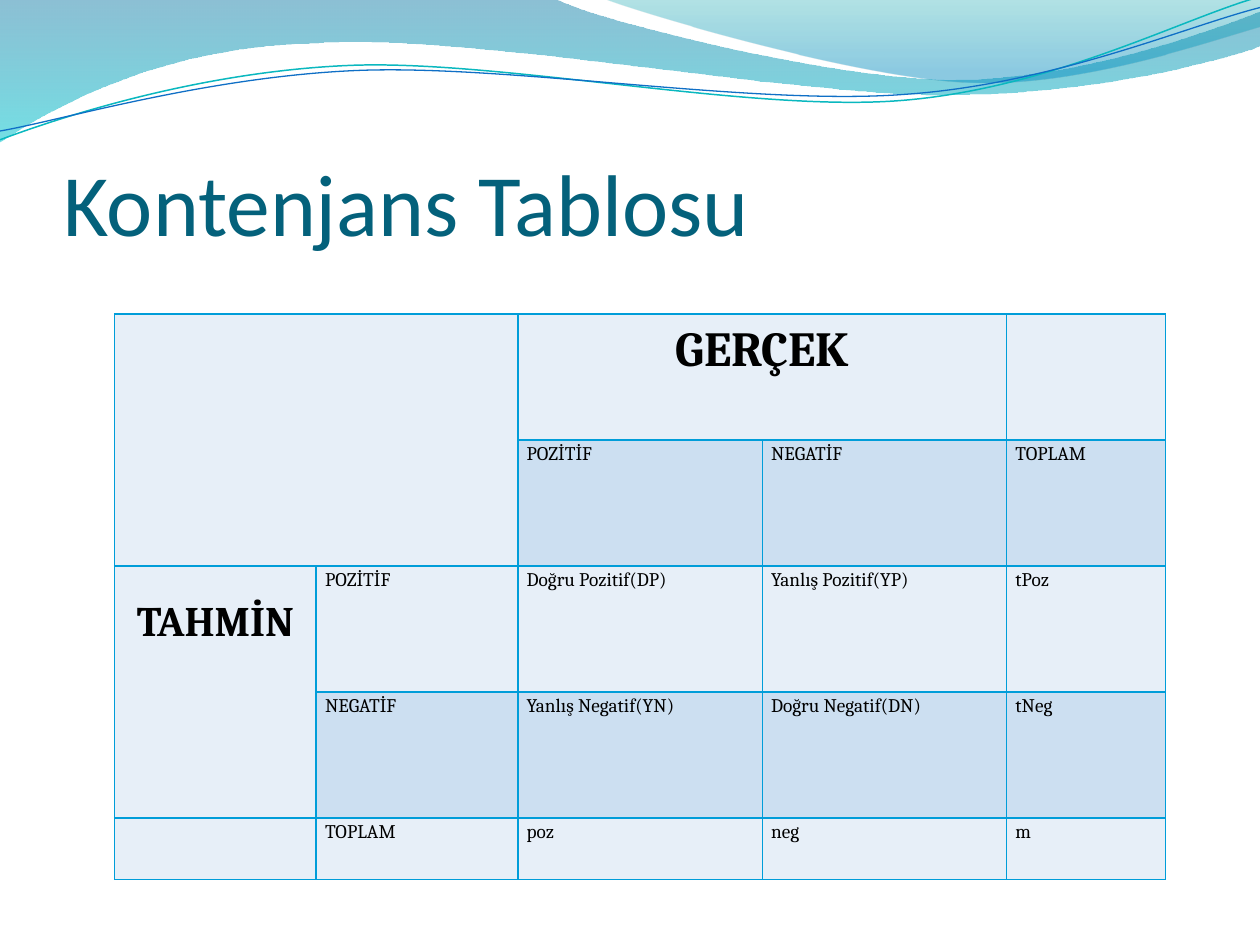
from itertools import chain
from lxml.etree import SubElement
from pptx import Presentation
from pptx.dml.color import RGBColor
from pptx.enum.text import MSO_ANCHOR, PP_ALIGN
from pptx.oxml.ns import qn
from pptx.util import Inches, Pt

WIDTH, HEIGHT = Inches(10), Inches(7.5)
COLORS = {
    "title": "04617B", "text": "000000", "border": "009DD9",
    "light": "E7EFF8", "dark": "CCDFF1",
    "teal line": "0AB8BF", "blue line": "0F6FC6",
    "deep blue": "0074A1", "cyan": "00C6CF", "teal": "00A1A9", "sky": "008BBF",
}
BANDS = [
    ([(0, 0), (4.4, -0.01), (4.76, 0.17, 6.64, 0.63, 7.58, 0.63),
      (8.53, 0.63, 9.58, 0.26, 10, 0.09), (10.01, 0.36),
      (9.83, 0.44, 8.7, 0.76, 7.46, 0.75), (6.22, 0.75, 3.82, 0.28, 2.57, 0.34),
      (1.29, 0.36, 0.46, 0.83, -0.01, 1.13), (0, 0)],
     [(0, "deep blue", 45), (1, "cyan", 55)]),
    ([(4.79, -0.01), (5.09, 0.11, 6.82, 0.62, 7.69, 0.65),
      (8.56, 0.69, 9.61, 0.32, 10, 0.21), (10, 0), (4.79, -0.01)],
     [(0, "teal", 30), (0.8, "sky", 45)]),
]
WAVES = [
    ([(0, 1.11), (0.48, 0.93, 1.58, 0.57, 2.77, 0.52),
      (3.95, 0.47, 5.93, 0.89, 7.13, 0.8), (8.33, 0.71, 9.38, 0.15, 9.98, -0.02)],
     "teal line", 0.85),
    ([(0, 1.04), (0.47, 0.96, 1.64, 0.61, 2.83, 0.56),
      (4.03, 0.51, 5.97, 0.84, 7.17, 0.75), (8.36, 0.67, 9.41, 0.21, 10, 0.06)],
     "blue line", 0.75),
]
COLUMNS = [1.6, 1.6, 1.94, 1.94, 1.26]
ROWS = [1, 1, 1, 1, 0.49]
TEXTS = [
    ["", "", "GERÇEK", "", ""],
    ["", "", "POZİTİF", "NEGATİF", "TOPLAM"],
    ["TAHMİN", "POZİTİF", "Doğru Pozitif(DP)", "Yanlış Pozitif(YP)", "tPoz"],
    ["", "NEGATİF", "Yanlış Negatif(YN)", "Doğru Negatif(DN)", "tNeg"],
    ["", "TOPLAM", "poz", "neg", "m"],
]
MERGES = [((0, 0), (1, 1)), ((0, 2), (0, 3)), ((2, 0), (3, 0))]
HEADINGS = {"GERÇEK": (28, 0), "TAHMİN": (24, 0.2)}


def rgb(name):
    return RGBColor.from_string(COLORS[name])


def set_values(target, values):
    for name, value in values.items():
        setattr(target, name, value)


def bend_segments(shape, segments):
    outline = next(shape._element.iter(qn("a:path")))
    corners = iter(outline.findall(qn("a:lnTo")))
    for segment in segments:
        corner = next(corners)
        if len(segment) == 6:
            curve = SubElement(outline, qn("a:cubicBezTo"))
            outline.replace(corner, curve)
            for part in (corner, next(corners), next(corners)):
                curve.append(part[0])
                if part is not corner:
                    outline.remove(part)


def add_outline(slide, segments, close):
    lengths = [Inches(value) for value in chain.from_iterable(segments)]
    start, *points = zip(lengths[::2], lengths[1::2])
    builder = slide.shapes.build_freeform(*start, scale=1.0)
    builder.add_line_segments(points, close=close)
    shape = builder.convert_to_shape()
    bend_segments(shape, segments[1:])
    shape.shadow.inherit = False
    return shape


def add_band(slide, segments, stops):
    shape = add_outline(slide, segments, True)
    shape.line.fill.background()
    shape.fill.gradient()
    shape.fill.gradient_angle = 270
    for stop, (position, color, _) in zip(shape.fill.gradient_stops, stops):
        stop.position = position
        stop.color.rgb = rgb(color)
    gradient = shape._element.spPr.find(qn("a:gradFill"))
    for element, (_, _, opacity) in zip(gradient.iter(qn("a:srgbClr")), stops):
        SubElement(element, qn("a:alpha"), val=str(opacity * 1000))


def add_wave(slide, segments, color, width):
    shape = add_outline(slide, segments, False)
    shape.fill.background()
    shape.line.color.rgb = rgb(color)
    shape.line.width = Pt(width)


def format_title(slide, text):
    title = slide.shapes.title
    slide.shapes._spTree.append(title._element)
    set_values(title, {"left": int(WIDTH * 0.05), "top": Inches(0.77),
                       "width": int(WIDTH * 0.9), "height": Inches(1.25)})
    frame = title.text_frame
    frame.text = text
    set_values(frame, {"vertical_anchor": MSO_ANCHOR.BOTTOM, "margin_left": 0,
                       "margin_right": 0, "margin_bottom": 0})
    paragraph = frame.paragraphs[0]
    paragraph.alignment = PP_ALIGN.LEFT
    font = paragraph.runs[0].font
    set_values(font, {"name": "Calibri", "size": Pt(50)})
    font.color.rgb = rgb("title")


def add_borders(cell):
    properties = cell._tc.get_or_add_tcPr()
    for side in ("lnL", "lnR", "lnT", "lnB"):
        line = SubElement(properties, qn(f"a:{side}"), w=str(Pt(1)))
        fill = SubElement(line, qn("a:solidFill"))
        SubElement(fill, qn("a:srgbClr"), val=COLORS["border"])


def fill_cell(cell, text, fill):
    add_borders(cell)
    cell.fill.solid()
    cell.fill.fore_color.rgb = rgb(fill)
    if not text:
        return
    size, top = HEADINGS.get(text, (11, 0))
    set_values(cell, {"text": text, "margin_left": Inches(0.07), "margin_right": Inches(0.07),
                      "margin_top": Inches(top), "margin_bottom": 0})
    paragraph = cell.text_frame.paragraphs[0]
    paragraph.line_spacing = 1.15
    if text in HEADINGS:
        paragraph.alignment = PP_ALIGN.CENTER
    font = paragraph.runs[0].font
    set_values(font, {"name": "Cambria", "size": Pt(size), "bold": text in HEADINGS})
    font.color.rgb = rgb("text")


def add_contingency_table(slide):
    table = slide.shapes.add_table(len(ROWS), len(COLUMNS), Inches(0.91), Inches(2.49),
                                   Inches(sum(COLUMNS)), Inches(sum(ROWS))).table
    set_values(table, {"first_row": False, "horz_banding": False})
    for column, width in zip(table.columns, COLUMNS):
        column.width = Inches(width)
    for row, height in zip(table.rows, ROWS):
        row.height = Inches(height)
    for first, last in MERGES:
        table.cell(*first).merge(table.cell(*last))
    for row, texts in enumerate(TEXTS):
        for column, text in enumerate(texts):
            dark = row % 2 == 1 and not table.cell(row, column).is_spanned
            fill_cell(table.cell(row, column), text, "dark" if dark else "light")


def main():
    presentation = Presentation()
    set_values(presentation, {"slide_width": WIDTH, "slide_height": HEIGHT})
    slide = presentation.slides.add_slide(presentation.slide_layouts[5])
    for band in BANDS:
        add_band(slide, *band)
    for wave in WAVES:
        add_wave(slide, *wave)
    format_title(slide, "Kontenjans Tablosu")
    add_contingency_table(slide)
    presentation.save("out.pptx")


if __name__ == "__main__":
    main()
